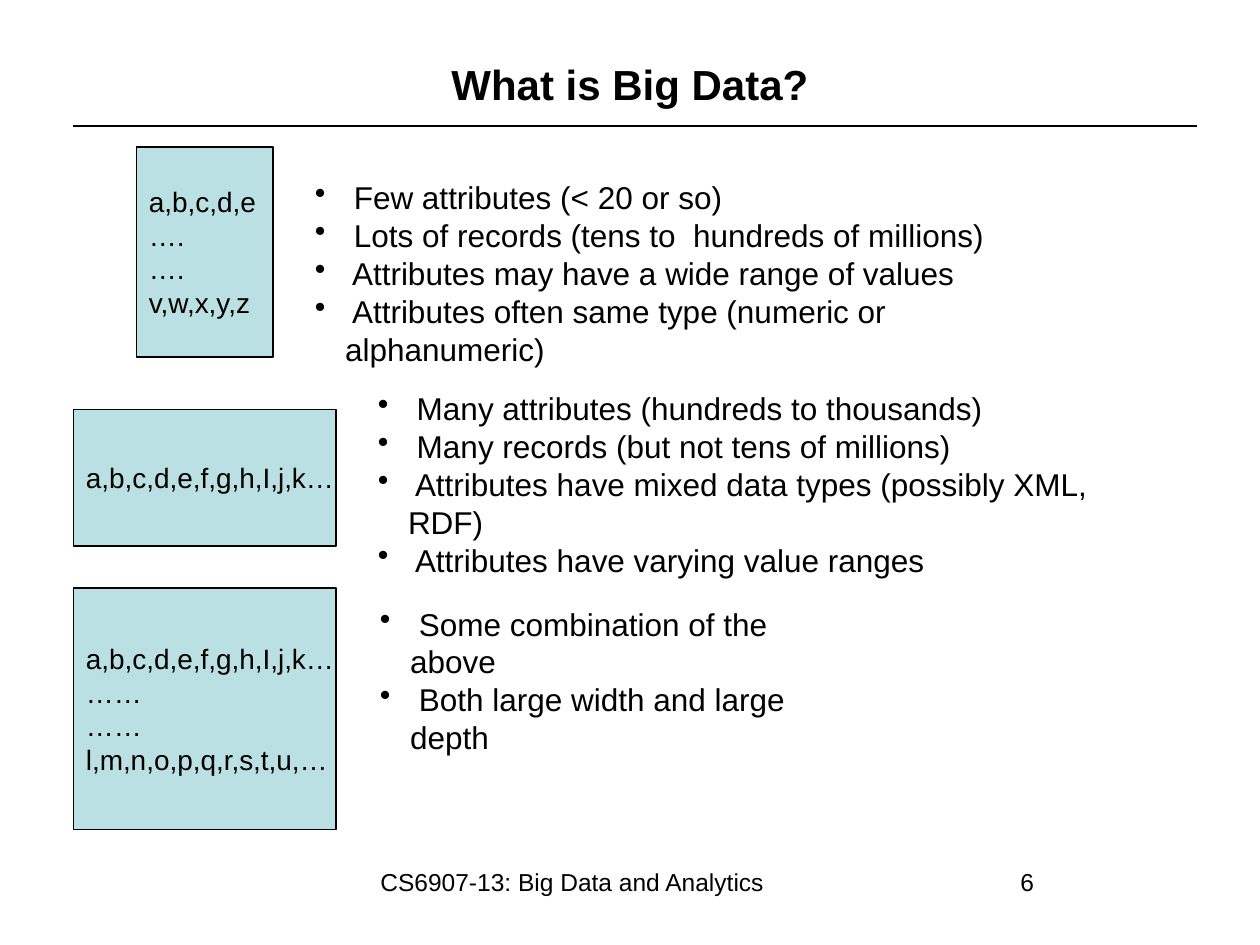
import pptx
import pptx.util
import pptx.dml.color
import pptx.enum.shapes
import pptx.enum.text
import pptx.oxml.ns
from lxml import etree

BLACK = pptx.dml.color.RGBColor(0x00, 0x00, 0x00)
PALE_TEAL = pptx.dml.color.RGBColor(0xBB, 0xE0, 0xE3)
FONT = "Arial"
COLUMNS, ROWS = 120, 90
WIDTH, HEIGHT = pptx.util.Inches(10), pptx.util.Inches(7.5)
BULLET_INDENT = pptx.util.Inches(0.24)
ALIGN = pptx.enum.text.PP_ALIGN
ANCHOR = pptx.enum.text.MSO_ANCHOR

BANDS = [
    ((13, 14, 13, 20), ["a,b,c,d,e", "….", "….", "v,w,x,y,z"],
     (28.8, 16.4, 75, 15.6),
     [" Few attributes (< 20 or so)",
      " Lots of records (tens to  hundreds of millions)",
      " Attributes may have a wide range of values",
      " Attributes often same type (numeric or alphanumeric)"]),
    ((7, 39, 25, 13), ["a,b,c,d,e,f,g,h,I,j,k…"],
     (34.8, 36.5, 76.3, 15.6),
     [" Many attributes (hundreds to thousands)",
      " Many records (but not tens of millions)",
      " Attributes have mixed data types (possibly XML, RDF)",
      " Attributes have varying value ranges"]),
    ((7, 56, 25, 23),
     ["a,b,c,d,e,f,g,h,I,j,k…", "……", "……", "l,m,n,o,p,q,r,s,t,u,…"],
     (35, 57, 47.4, 8.4),
     [" Some combination of the above",
      " Both large width and large depth"]),
]


def place(box):
    left, top, width, height = box
    return (round(left * WIDTH / COLUMNS), round(top * HEIGHT / ROWS),
            round(width * WIDTH / COLUMNS), round(height * HEIGHT / ROWS))


def add_bullet(para):
    properties = para._p.get_or_add_pPr()
    properties.set("marL", str(BULLET_INDENT))
    properties.set("indent", str(-BULLET_INDENT))
    bullet = etree.SubElement(properties, pptx.oxml.ns.qn("a:buChar"))
    bullet.set("char", "•")


def write(shape, lines, size, align=ALIGN.LEFT, anchor=ANCHOR.TOP,
          wrap=True, bold=False, bullets=False):
    frame = shape.text_frame
    frame.text = "\n".join(lines)
    frame.word_wrap = wrap
    frame.vertical_anchor = anchor
    for para in frame.paragraphs:
        if bullets:
            add_bullet(para)
        para.alignment = align
        for span in para.runs:
            span.font.name = FONT
            span.font.size = pptx.util.Pt(size)
            span.font.bold = bold
            span.font.color.rgb = BLACK


def add_text(page, box, lines, size, **style):
    write(page.shapes.add_textbox(*place(box)), lines, size, **style)


def add_heading(page, box, title):
    add_text(page, box, [title], 24, align=ALIGN.CENTER,
             anchor=ANCHOR.MIDDLE, bold=True)
    left, top, width, height = place(box)
    margin = round(WIDTH / COLUMNS)
    bottom = top + height
    rule = page.shapes.add_connector(
        pptx.enum.shapes.MSO_CONNECTOR.STRAIGHT,
        left + margin, bottom, left + width, bottom)
    rule.line.color.rgb = BLACK
    rule.line.width = pptx.util.Pt(0.75)
    etree.SubElement(rule._element.spPr, pptx.oxml.ns.qn("a:effectLst"))


def add_data_sample(page, box, lines):
    sample = page.shapes.add_shape(
        pptx.enum.shapes.MSO_SHAPE.RECTANGLE, *place(box))
    sample.shadow.inherit = False
    sample.fill.solid()
    sample.fill.fore_color.rgb = PALE_TEAL
    sample.line.color.rgb = BLACK
    sample.line.width = pptx.util.Pt(0.75)
    write(sample, lines, 16, anchor=ANCHOR.MIDDLE, wrap=False)


def add_footer(page, box, course, number):
    left, top, width, height = box
    add_text(page, (left, top, 49, height), [course], 14, align=ALIGN.CENTER)
    add_text(page, (left + width - 9, top, 9, height), [number], 14)


def main():
    deck = pptx.Presentation()
    deck.slide_width, deck.slide_height = WIDTH, HEIGHT
    page = deck.slides.add_slide(deck.slide_layouts[6])
    add_heading(page, (6, 4, 108, 8), "What is Big Data?")
    for sample_box, sample, traits_box, traits in BANDS:
        add_data_sample(page, sample_box, sample)
        add_text(page, traits_box, traits, 18, bullets=True)
    add_footer(page, (30, 82, 75, 6.25), "CS6907-13: Big Data and Analytics", "6")
    deck.save("out.pptx")


if __name__ == "__main__":
    main()
